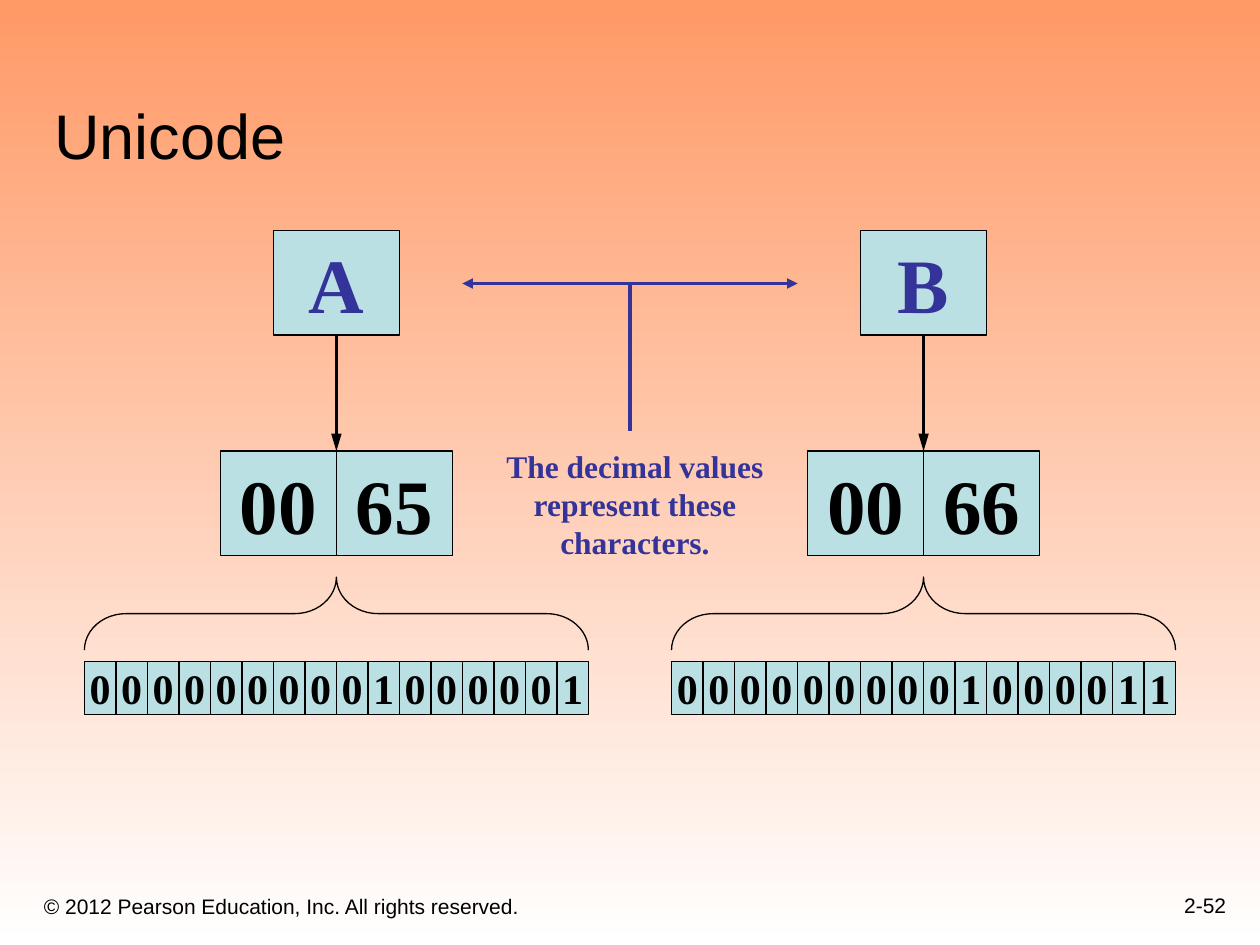
from lxml import etree
from pptx import Presentation
from pptx.dml.color import RGBColor
from pptx.enum import shapes, text
from pptx.oxml.ns import qn
from pptx.util import Inches, Pt

BLACK = RGBColor(0x00, 0x00, 0x00)
INDIGO = RGBColor(0x33, 0x33, 0x99)
PALE_TEAL = RGBColor(0xBB, 0xE0, 0xE3)
ORANGE = RGBColor(0xFF, 0x99, 0x66)
WHITE = RGBColor(0xFF, 0xFF, 0xFF)

SANS = "Arial"
SERIF = "Times New Roman"
ALIGN = text.PP_ALIGN
ANCHOR = text.MSO_ANCHOR

presentation = Presentation()
presentation.slide_width = Inches(10)
presentation.slide_height = Inches(7.5)
slide = presentation.slides.add_slide(presentation.slide_layouts[5])


def write(shape, lines, size, font_name, color, align, anchor, wrap=False):
    """Fill a shape with one formatted paragraph per line."""
    frame = shape.text_frame
    frame.word_wrap = wrap
    frame.vertical_anchor = anchor
    for number, line in enumerate(lines):
        paragraph = frame.add_paragraph() if number else frame.paragraphs[0]
        paragraph.alignment = align
        run = paragraph.add_run()
        run.text = line
        run.font.size = Pt(size)
        run.font.name = font_name
        run.font.bold = font_name == SERIF
        run.font.color.rgb = color


def add_line(start, end, color, width, arrow_ends=(), arrow_length="med"):
    """Draw a straight line with optional arrowheads."""
    line = slide.shapes.add_connector(
        shapes.MSO_CONNECTOR.STRAIGHT,
        Inches(start[0]), Inches(start[1]), Inches(end[0]), Inches(end[1]))
    line.line.color.rgb = color
    line.line.width = Pt(width)
    properties = line.line._get_or_add_ln()
    for end_name in arrow_ends:
        etree.SubElement(properties, qn(end_name),
                         type="triangle", w="med", len=arrow_length)
    etree.SubElement(line._element.spPr, qn("a:effectLst"))


# Background: orange at the top fading to white
background = slide.background.fill
background.gradient()
background.gradient_angle = 270
for stop, color in zip(background.gradient_stops, (ORANGE, WHITE)):
    stop.color.rgb = color

# Title
title = slide.shapes.title
title.left, title.top = Inches(0.33), Inches(0.33)
title.width, title.height = Inches(9.42), Inches(1.09)
write(title, ["Unicode"], 36, SANS, BLACK, ALIGN.LEFT, ANCHOR.BOTTOM, True)

# Footer and page number
for left, top, width, height, words, align in (
    (0.25, 6.92, 6.08, 0.42,
     "© 2012 Pearson Education, Inc. All rights reserved.", ALIGN.LEFT),
    (7.75, 6.83, 2.08, 0.5, "2-52", ALIGN.RIGHT),
):
    footer = slide.shapes.add_textbox(
        Inches(left), Inches(top), Inches(width), Inches(height))
    write(footer, [words], 12, SANS, BLACK, align, ANCHOR.BOTTOM, True)

# One diagram per character: letter, decimal bytes, brace, bits
for center, letter, decimals, bits in (
    (2.67, "A", ("00", "65"), "0000000001000001"),
    (7.33, "B", ("00", "66"), "0000000001000011"),
):
    rows = (
        ([letter], 1.83, 1, 0.83, 44, INDIGO),
        (decimals, 3.58, 0.92, 0.83, 44, BLACK),
        (bits, 5.25, 0.25, 0.42, 24, BLACK),
    )
    for values, top, width, height, size, color in rows:
        row_left = center - len(values) * width / 2
        for column, value in enumerate(values):
            cell = slide.shapes.add_shape(
                shapes.MSO_SHAPE.RECTANGLE,
                Inches(row_left + column * width), Inches(top),
                Inches(width), Inches(height))
            cell.shadow.inherit = False
            cell.fill.solid()
            cell.fill.fore_color.rgb = PALE_TEAL
            cell.line.color.rgb = BLACK
            cell.line.width = Pt(0.75)
            write(cell, [value], size, SERIF, color,
                  ALIGN.CENTER, ANCHOR.MIDDLE)

    add_line((center, 2.67), (center, 3.58), BLACK, 1.5, ["a:tailEnd"], "lg")

    # Right brace turned so that its point faces up
    brace = slide.shapes.add_shape(
        shapes.MSO_SHAPE.RIGHT_BRACE,
        Inches(center - 0.29), Inches(2.87), Inches(0.58), Inches(4))
    brace.rotation = 270
    brace.adjustments[0] = 0.57
    brace.shadow.inherit = False
    brace.fill.background()
    brace.line.color.rgb = BLACK
    brace.line.width = Pt(0.75)

# Caption with its pointer to both letters
caption = slide.shapes.add_textbox(
    Inches(3.92), Inches(3.5), Inches(2.24), Inches(1))
write(caption, ["The decimal values", "represent these", "characters."],
      18, SERIF, INDIGO, ALIGN.CENTER, ANCHOR.TOP)
add_line((5, 2.25), (5, 3.42), INDIGO, 2)
add_line((3.67, 2.25), (6.33, 2.25), INDIGO, 2, ["a:headEnd", "a:tailEnd"])

presentation.save("out.pptx")
